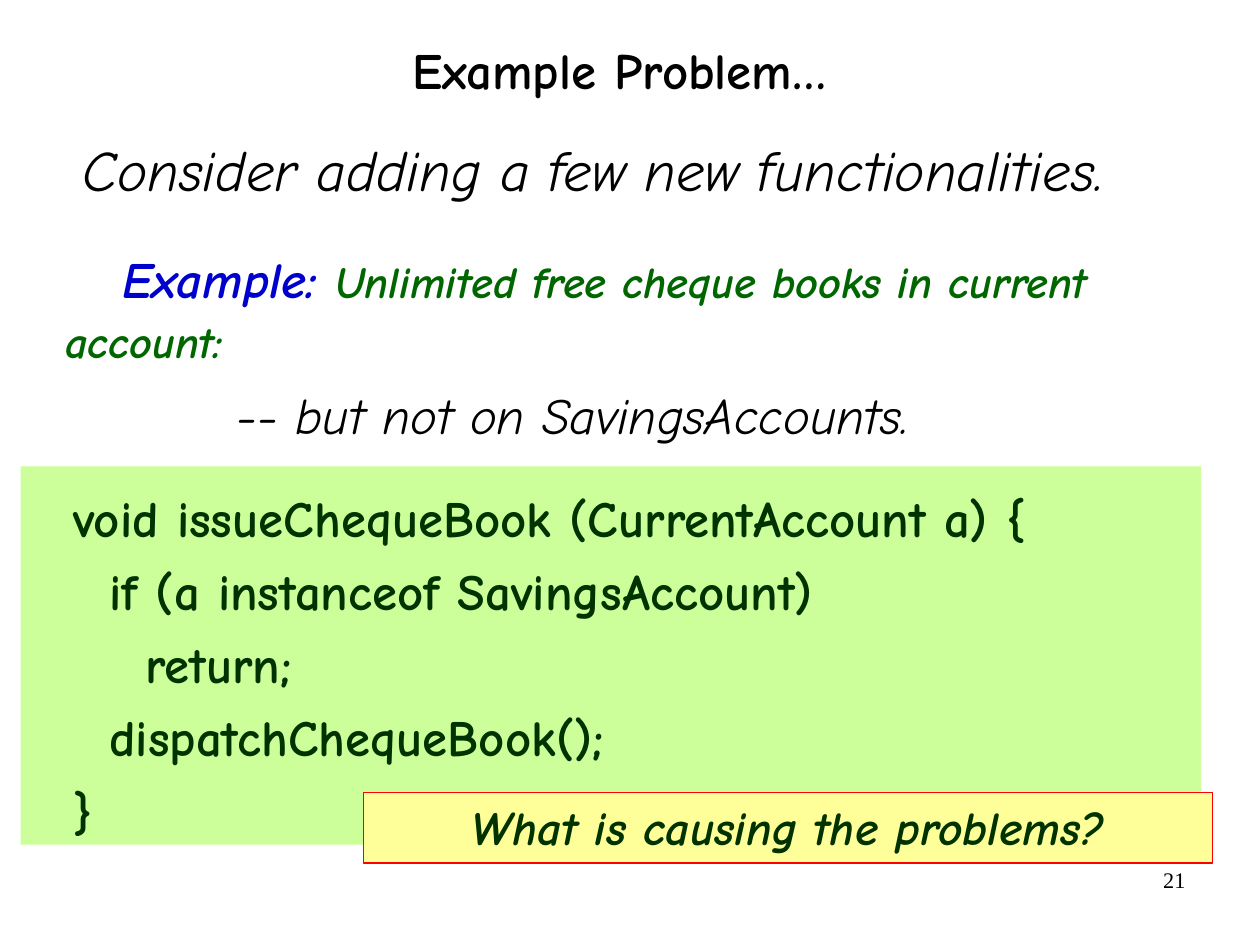
from dataclasses import dataclass

from pptx import Presentation
from pptx import util as u
from pptx.dml.color import RGBColor
from pptx.enum import shapes, text


@dataclass(frozen=True)
class Theme:
    font: str = "Comic Neue"
    number_font: str = "Times New Roman"
    black: str = "000000"
    blue: str = "0000CC"
    green: str = "006600"
    dark_green: str = "003300"
    code_fill: str = "CCFF99"
    callout_fill: str = "FFFF99"
    callout_line: str = "FF0000"
    lead: int = 36
    body: int = 32
    callout: int = 30
    detail: int = 28
    number: int = 14


class SlideBuilder:
    def __init__(self, prs, theme):
        self.theme = theme
        self.s = prs.slides.add_slide(prs.slide_layouts[6])

    def frame(self, sp, inset, anchor=text.MSO_ANCHOR.TOP):
        tf = sp.text_frame
        tf.word_wrap = True
        tf.vertical_anchor = anchor
        tf.margin_left, tf.margin_top, tf.margin_right, tf.margin_bottom = map(u.Inches, inset)
        return tf

    def text_box(self, box, inset, anchor=text.MSO_ANCHOR.TOP):
        sp = self.s.shapes.add_textbox(*map(u.Inches, box))
        return self.frame(sp, inset, anchor)

    def panel(self, box, inset, fill, line=None):
        sp = self.s.shapes.add_shape(shapes.MSO_SHAPE.RECTANGLE, *map(u.Inches, box))
        sp.shadow.inherit = False
        sp.fill.solid()
        sp.fill.fore_color.rgb = RGBColor.from_string(fill)
        if line:
            sp.line.color.rgb = RGBColor.from_string(line)
            sp.line.width = u.Pt(0.75)
        else:
            sp.line.fill.background()
        return self.frame(sp, inset)

    def paragraph(self, tf, content, size, color, align=text.PP_ALIGN.LEFT, spacing=1.0,
                  before=0, after=0, left=0, indent=0, **style):
        p = tf.add_paragraph() if tf.text else tf.paragraphs[0]
        p.text = content
        p.alignment = align
        p.line_spacing = spacing
        p.space_before, p.space_after = u.Pt(before), u.Pt(after)
        pPr = p._p.get_or_add_pPr()
        pPr.set("marL", str(u.Inches(left)))
        pPr.set("indent", str(u.Inches(indent)))
        for r in p.runs:
            self.style(r, size, color, **style)
        return p

    def run(self, p, content, size, color, **style):
        r = p.add_run()
        r.text = content
        self.style(r, size, color, **style)

    def style(self, r, size, color, bold=False, italic=False, font=None):
        r.font.name = font or self.theme.font
        r.font.size = u.Pt(size)
        r.font.bold, r.font.italic = bold, italic
        r.font.color.rgb = RGBColor.from_string(color)


CM_PER_INCH = 2.54
CODE = """void issueChequeBook (CurrentAccount a) {
  if (a instanceof SavingsAccount)
    return;
  dispatchChequeBook();
}"""


def main():
    prs = Presentation()
    prs.slide_width = u.Inches(28 / CM_PER_INCH)
    prs.slide_height = u.Inches(21 / CM_PER_INCH)
    t = Theme()
    b = SlideBuilder(prs, t)
    center = text.PP_ALIGN.CENTER

    number = b.text_box((7.9, 7.53, 2.57, 0.57), (0.1, 0.05, 0.1, 0.05))
    b.paragraph(number, "21", t.number, t.black, text.PP_ALIGN.RIGHT, font=t.number_font)

    title = b.text_box((0.72, -0.04, 9.4, 1.37), (0, 0, 0, 0), text.MSO_ANCHOR.MIDDLE)
    b.paragraph(title, "Example Problem…", t.body, t.black, center, 0.88, bold=True)

    code = b.panel((0.18, 4.08, 10.33, 3.31), (0, 0.07, 0, 0), t.code_fill)
    b.paragraph(code, CODE, t.body, t.dark_green, spacing=1.2, left=0.46, bold=True)

    intro = b.text_box((0, 1.06, 10.85, 3.19), (0.11, 0.06, 0.11, 0.06))
    b.paragraph(intro, "Consider adding a few new functionalities.", t.lead, t.black,
                spacing=1.1, after=13.8, left=0.46, indent=0.15, italic=True)
    example = b.paragraph(intro, "Example: ", t.body, t.blue, spacing=1.1, before=10,
                          left=0.46, indent=0.5, bold=True, italic=True)
    b.run(example, "Unlimited free cheque books in current account:", t.detail, t.green,
          bold=True, italic=True)
    b.paragraph(intro, "-- but not on SavingsAccounts.", t.body, t.black,
                spacing=1.1, before=6.5, left=1.96, italic=True)

    callout = b.panel((3.18, 6.93, 7.43, 0.62), (0.11, 0.05, 0.11, 0.05),
                      t.callout_fill, t.callout_line)
    b.paragraph(callout, "What is causing the problems?", t.callout, t.dark_green, center,
                bold=True, italic=True)

    prs.save("out.pptx")


if __name__ == "__main__":
    main()
